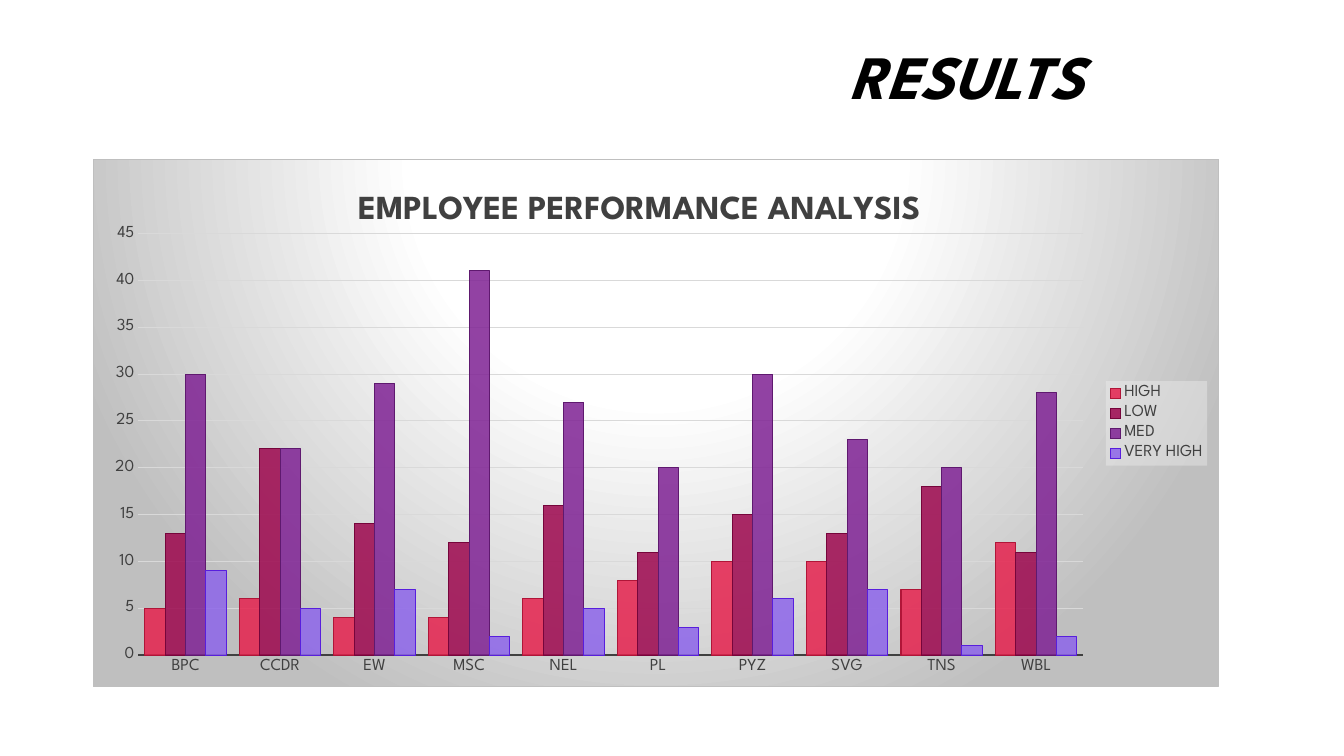
from pptx import Presentation
from pptx import util as u
from pptx.chart.data import CategoryChartData
from pptx.dml.color import RGBColor
from pptx.enum import chart as ch
from pptx.oxml import parse_xml
from pptx.oxml.ns import nsdecls

PX = 9144
FONT = "League Spartan"
COLORS = {
    "ink": "000000", "label": "404040", "grid": "D9D9D9",
    "white": "FFFFFF", "edge": "BFBFBF", "legend": "F2F2F2",
}
CATEGORIES = ["BPC", "CCDR", "EW", "MSC", "NEL", "PL", "PYZ", "SVG", "TNS", "WBL"]
SERIES = [
    ("HIGH", [5, 6, 4, 4, 6, 8, 10, 10, 7, 12], "E5224E", "B01538"),
    ("LOW", [13, 22, 14, 12, 16, 11, 15, 13, 18, 11], "9D074E", "76053B"),
    ("MED", [30, 22, 29, 41, 27, 20, 30, 23, 20, 28], "7F2294", "5F196F"),
    ("VERY HIGH", [9, 5, 7, 2, 5, 3, 6, 7, 1, 2], "8D65EA", "581EDD"),
]


class Deck:
    """Hold the style and the current slide, and draw each kind of element."""

    def __init__(self, width, height):
        self.prs = Presentation()
        self.prs.slide_width, self.prs.slide_height = width * PX, height * PX
        self.slide = self.prs.slides.add_slide(self.prs.slide_layouts[6])

    def font(self, font, size, color, **style):
        font.name, font.size = FONT, u.Pt(size)
        font.color.rgb = RGBColor.from_string(COLORS[color])
        for name, value in style.items():
            setattr(font, name, value)

    def line(self, line, color, width=0.75):
        line.color.rgb = RGBColor.from_string(color)
        line.width = u.Pt(width)

    def text(self, box, words, size):
        tf = self.slide.shapes.add_textbox(*(n * PX for n in box)).text_frame
        tf.word_wrap = True
        p = tf.paragraphs[0]
        p.text = words
        self.font(p.font, size, "ink", bold=True, italic=True)

    def place(self, element, index, inner=False, **fractions):
        for old in element.xpath("c:layout"):
            element.remove(old)
        target = '<c:layoutTarget val="inner"/>' if inner else ""
        modes = "".join(f'<c:{k}Mode val="edge"/>' for k in "xy")
        values = "".join(f'<c:{k} val="{v}"/>' for k, v in fractions.items())
        element.insert(index, parse_xml(
            f'<c:layout {nsdecls("c")}><c:manualLayout>{target}{modes}{values}'
            "</c:manualLayout></c:layout>"))

    def axis(self, axis):
        axis.major_tick_mark = axis.minor_tick_mark = ch.XL_TICK_MARK.NONE
        self.font(axis.tick_labels.font, 12, "label")

    def backdrop(self, space):
        stops = "".join(
            f'<a:gs pos="{pos}000"><a:srgbClr val="{COLORS[c]}"/></a:gs>'
            for pos, c in ((0, "white"), (39, "white"), (100, "edge")))
        space.xpath("c:chart")[0].addnext(parse_xml(
            f'<c:spPr {nsdecls("c", "a")}><a:gradFill><a:gsLst>{stops}</a:gsLst>'
            '<a:path path="circle"><a:fillToRect l="50000" t="-80000" r="50000" b="180000"/>'
            f'</a:path></a:gradFill><a:ln w="9525"><a:solidFill><a:srgbClr val="{COLORS["edge"]}"/>'
            "</a:solidFill></a:ln></c:spPr>"))

    def legend(self, chart):
        chart.has_legend = True
        legend = chart.legend
        legend.position = ch.XL_LEGEND_POSITION.RIGHT
        legend.include_in_layout = False
        self.font(legend.font, 12, "label")
        element = chart.element.xpath(".//c:legend")[0]
        self.place(element, 1, x=0.9, y=0.42, w=0.09, h=0.16)
        element.xpath("c:txPr")[0].addprevious(parse_xml(
            f'<c:spPr {nsdecls("c", "a")}><a:solidFill><a:srgbClr val="{COLORS["legend"]}">'
            '<a:alpha val="39000"/></a:srgbClr></a:solidFill></c:spPr>'))

    def columns(self, box, title):
        data = CategoryChartData()
        data.categories = CATEGORIES
        for name, values, *_ in SERIES:
            data.add_series(name, values)
        chart = self.slide.shapes.add_chart(
            ch.XL_CHART_TYPE.COLUMN_CLUSTERED, *(n * PX for n in box), data).chart
        self.font(chart.font, 10, "ink")

        chart.has_title = True
        p = chart.chart_title.text_frame.paragraphs[0]
        p.text = title
        self.font(p.font, 24, "label", bold=True)
        chart.chart_title.include_in_layout = False
        space = chart.element
        self.place(space.xpath("c:chart/c:title")[0], 1, x=0.23, y=0.05)
        self.place(space.xpath(".//c:plotArea")[0], 0, inner=True,
                   x=0.04, y=0.14, w=0.84, h=0.8)

        plot = chart.plots[0]
        plot.gap_width, plot.overlap, plot.vary_by_categories = 65, 0, False
        for s, (_, _, fill, edge) in zip(plot.series, SERIES):
            s.format.fill.solid()
            s.format.fill.fore_color.rgb = RGBColor.from_string(fill)
            self.line(s.format.line, edge)
        for color in space.xpath(".//c:ser/c:spPr/a:solidFill/a:srgbClr"):
            color.append(parse_xml(f'<a:alpha {nsdecls("a")} val="85000"/>'))

        self.axis(chart.category_axis)
        self.line(chart.category_axis.format.line, COLORS["label"], 1.5)
        values = chart.value_axis
        self.axis(values)
        values.minimum_scale, values.maximum_scale, values.major_unit = 0, 45, 5
        values.format.line.fill.background()
        self.line(values.major_gridlines.format.line, COLORS["grid"])
        self.legend(chart)
        self.backdrop(space)


def main():
    deck = Deck(1333, 750)
    deck.columns((92, 158, 1117, 524), "EMPLOYEE PERFORMANCE ANALYSIS")
    deck.text((833, 33, 492, 70), "RESULTS", 44)
    deck.prs.save("out.pptx")


if __name__ == "__main__":
    main()
